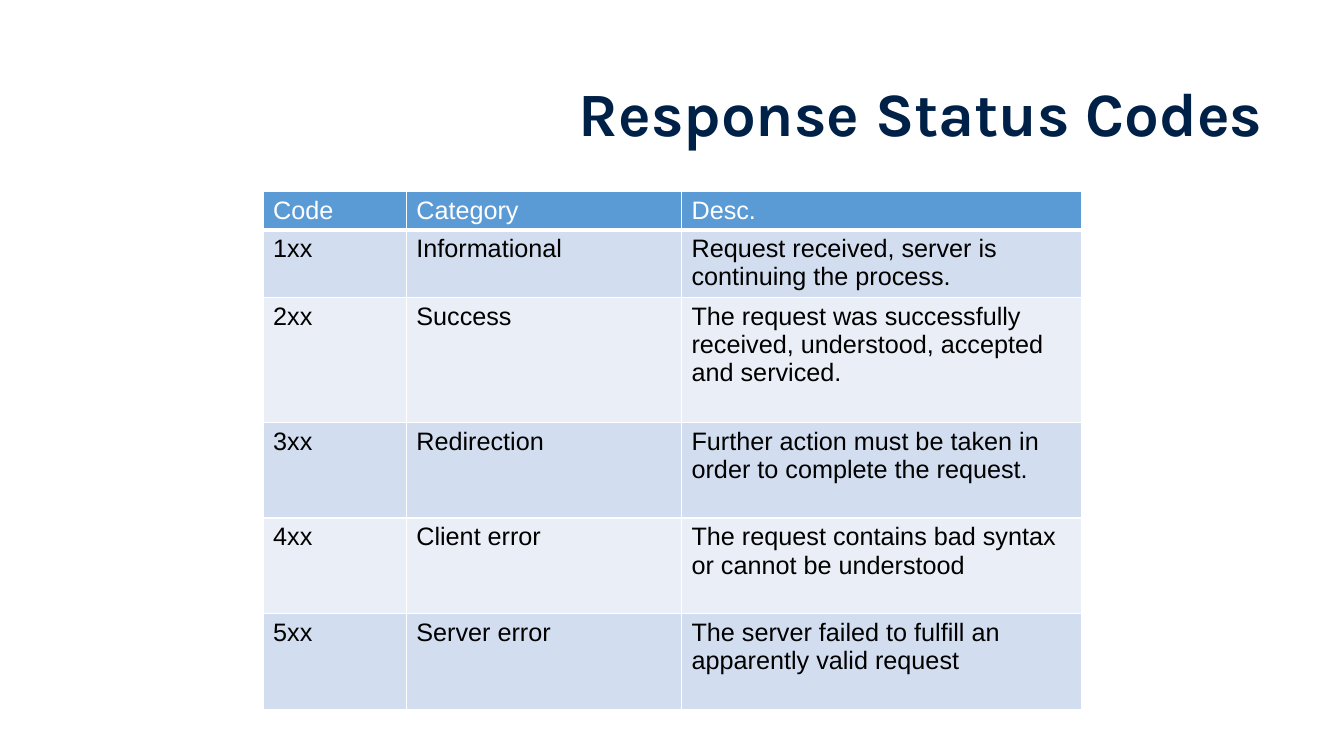
from dataclasses import dataclass

from lxml import etree
from pptx import Presentation
from pptx.dml.color import RGBColor
from pptx.enum import text
from pptx.oxml import ns
from pptx.util import Inches, Pt


@dataclass(frozen=True)
class Theme:
    navy: str = "002147"
    blue: str = "5B9BD5"
    bands: tuple[str, str] = ("D2DEEF", "EAEFF7")
    white: str = "FFFFFF"
    black: str = "000000"
    head_font: str = "Karla"
    body_font: str = "Arial"
    head_size: int = 44
    body_size: int = 18


@dataclass(frozen=True)
class Row:
    code: str
    category: str
    desc: str
    height: float


THEME = Theme()
WIDTHS = (1.42, 2.73, 3.97)
ROWS = (
    Row("Code", "Category", "Desc.", 0.38),
    Row("1xx", "Informational", "Request received, server is continuing the process.", 0.67),
    Row("2xx", "Success",
        "The request was successfully received, understood, accepted and serviced.", 1.24),
    Row("3xx", "Redirection",
        "Further action must be taken in order to complete the request.", 0.95),
    Row("4xx", "Client error", "The request contains bad syntax or cannot be understood", 0.95),
    Row("5xx", "Server error", "The server failed to fulfill an apparently valid request", 0.95),
)


def style(par, font: str, size: int, color: str, bold: bool) -> None:
    for run in par.runs:
        run.font.name = font
        run.font.size = Pt(size)
        run.font.bold = bold
        run.font.color.rgb = RGBColor.from_string(color)


def border(cell, widths: dict[str, int]) -> None:
    """Draw white cell edges, with a width in points for each side."""
    props = cell._tc.get_or_add_tcPr()
    for side, width in widths.items():
        line = etree.SubElement(props, ns.qn(f"a:ln{side}"), w=str(Pt(width)))
        fill = etree.SubElement(line, ns.qn("a:solidFill"))
        etree.SubElement(fill, ns.qn("a:srgbClr"), val=THEME.white)


def add_title(slide) -> None:
    title = slide.shapes.title
    title.left, title.top = Inches(0.38), Inches(0.4)
    title.width, title.height = Inches(12.5), Inches(1.51)
    frame = title.text_frame
    frame.text = "Response Status Codes"
    frame.word_wrap = True
    frame.vertical_anchor = text.MSO_ANCHOR.MIDDLE
    frame.margin_right = Inches(0.35)
    par = frame.paragraphs[0]
    par.alignment = text.PP_ALIGN.RIGHT
    par.line_spacing = 0.9
    par.space_before = Pt(10)
    style(par, THEME.head_font, THEME.head_size, THEME.navy, True)


def add_codes(slide) -> None:
    height = sum(row.height for row in ROWS)
    table = slide.shapes.add_table(
        len(ROWS), len(WIDTHS), Inches(2.61), Inches(1.9),
        Inches(sum(WIDTHS)), Inches(height)).table
    for column, width in zip(table.columns, WIDTHS):
        column.width = Inches(width)
    for i, row in enumerate(ROWS):
        table.rows[i].height = Inches(row.height)
        fill = THEME.bands[(i - 1) % 2] if i else THEME.blue
        color = THEME.black if i else THEME.white
        edges = {"L": 1, "R": 1, "T": 3 if i == 1 else 1, "B": 1 if i else 3}
        for cell, words in zip(table.rows[i].cells, (row.code, row.category, row.desc)):
            cell.text_frame.text = words
            style(cell.text_frame.paragraphs[0], THEME.body_font, THEME.body_size, color, False)
            border(cell, edges)
            cell.fill.solid()
            cell.fill.fore_color.rgb = RGBColor.from_string(fill)


def main() -> None:
    deck = Presentation()
    deck.slide_width, deck.slide_height = Inches(13.33), Inches(7.5)
    slide = deck.slides.add_slide(deck.slide_layouts[5])
    add_title(slide)
    add_codes(slide)
    deck.save("out.pptx")


if __name__ == "__main__":
    main()
